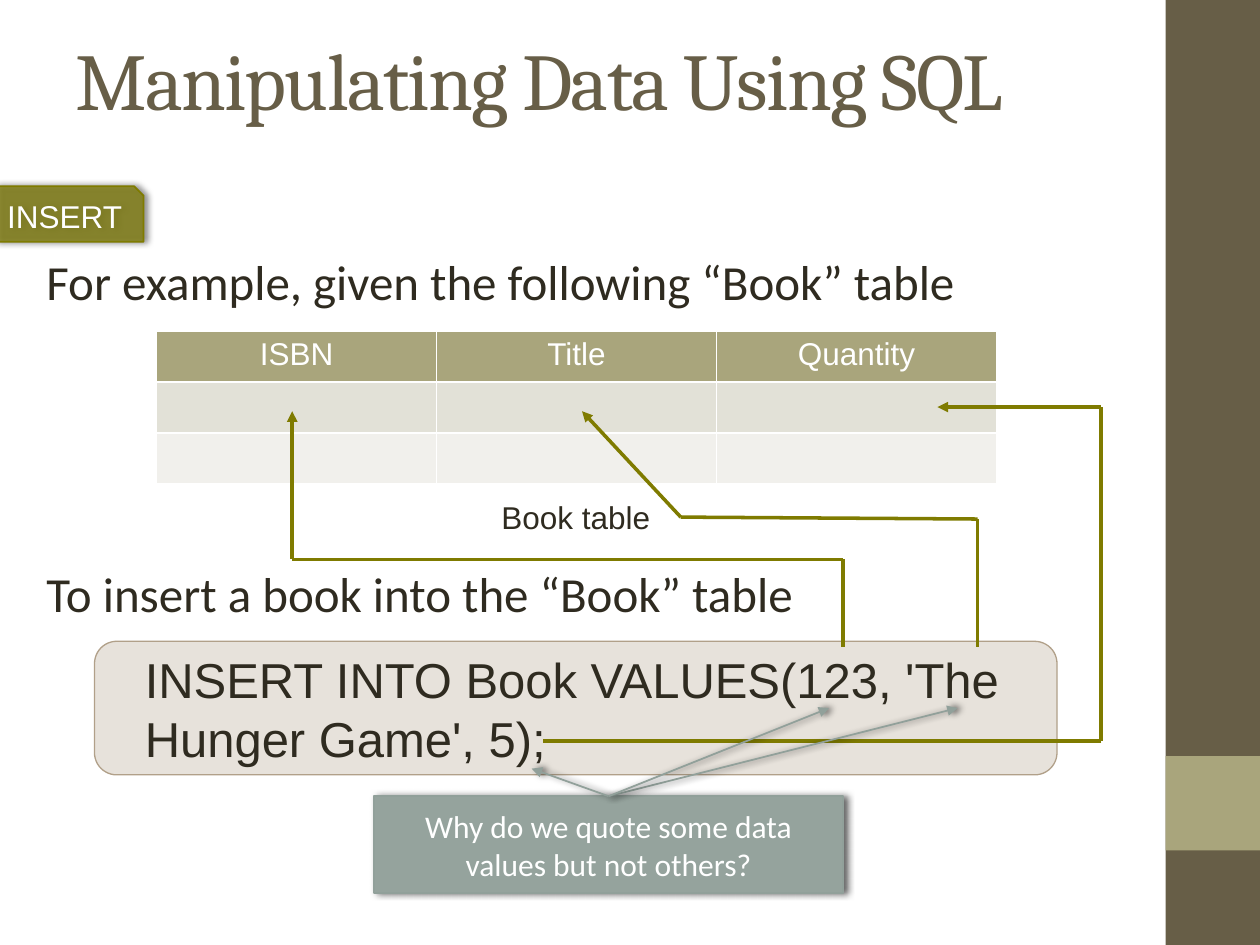
from itertools import pairwise

from pptx import Presentation
from pptx.dml.color import RGBColor
from pptx.enum.shapes import MSO_CONNECTOR, MSO_SHAPE as SHAPE
from pptx.enum.text import MSO_ANCHOR as ANCHOR, PP_ALIGN as ALIGN
from pptx.oxml.ns import qn
from pptx.util import Pt
from lxml.etree import SubElement

COLORS = {
    "brown": "675E47", "khaki": "A9A57C", "ink": "2F2B20", "white": "FFFFFF",
    "tan": "B1A089", "olive": "7F7B00", "sage": "95A39D", "sage_line": "91A09A",
    "band_dark": "E2E1D7", "band_light": "F1F0EC", "shadow": "000000",
}


def rgb(name):
    return RGBColor.from_string(COLORS[name])


def add_color(parent, name, opacity=100):
    clr = SubElement(parent, qn("a:srgbClr"), val=COLORS[name])
    SubElement(clr, qn("a:alpha"), val=str(opacity * 1000))


def add_shadow(effects):
    shadow = SubElement(effects, qn("a:outerShdw"), blurRad=str(Pt(4)),
                        dist=str(Pt(2)), dir="0", rotWithShape="0")
    add_color(shadow, "shadow", 60)


def write(tf, lines, font, size, color, align=ALIGN.LEFT, gap=0):
    for i, line in enumerate(lines):
        p = tf.add_paragraph() if i else tf.paragraphs[0]
        p.text = line
        p.alignment = align
        if i:
            p.space_before = Pt(gap)
        p.font.name, p.font.size = font, Pt(size)
        p.font.color.rgb = rgb(color)


def add_text(slide, box, lines, *style, anchor=ANCHOR.TOP, **options):
    tf = slide.shapes.add_textbox(*map(Pt, box)).text_frame
    tf.word_wrap = True
    tf.vertical_anchor = anchor
    write(tf, lines, *style, **options)
    return tf


def add_box(slide, kind, box, fill, line=None, width=1, opacity=100, shadow=False):
    sp = slide.shapes.add_shape(kind, *map(Pt, box))
    sp.shadow.inherit = False
    sp.fill.solid()
    sp.fill.fore_color.rgb = rgb(fill)
    if opacity < 100:
        clr = sp.fill._xPr.find(qn("a:solidFill"))[0]
        SubElement(clr, qn("a:alpha"), val=str(opacity * 1000))
    if line:
        sp.line.color.rgb = rgb(line)
        sp.line.width = Pt(width)
    else:
        sp.line.fill.background()
    if shadow:
        add_shadow(sp._element.spPr.find(qn("a:effectLst")))
    sp.text_frame.vertical_anchor = ANCHOR.MIDDLE
    return sp


def add_line(slide, start, end, color, width, arrow=None, shadow=False):
    line = slide.shapes.add_connector(MSO_CONNECTOR.STRAIGHT, *map(Pt, start + end))
    line.line.color.rgb = rgb(color)
    line.line.width = Pt(width)
    if arrow:
        SubElement(line.line._get_or_add_ln(), qn(f"a:{arrow}"), type="triangle")
    effects = SubElement(line._element.spPr, qn("a:effectLst"))
    if shadow:
        add_shadow(effects)
    return line


def add_route(slide, points):
    for i, (start, end) in enumerate(pairwise(points)):
        add_line(slide, start, end, "olive", 2, None if i else "headEnd")


def add_border(cell):
    tc_pr = cell._tc.get_or_add_tcPr()
    for i, side in enumerate(("lnL", "lnR", "lnT", "lnB")):
        ln = SubElement(tc_pr, qn(f"a:{side}"), w=str(Pt(1)))
        add_color(SubElement(ln, qn("a:solidFill")), "white")
        tc_pr.insert(i, ln)


def add_book_table(slide, box, headers, fills):
    table = slide.shapes.add_table(len(fills), len(headers), *map(Pt, box)).table
    for r, fill in enumerate(fills):
        for c, header in enumerate(headers):
            cell = table.cell(r, c)
            cell.fill.solid()
            cell.fill.fore_color.rgb = rgb(fill)
            add_border(cell)
            if r == 0:
                write(cell.text_frame, [header], "Arial", 18, "white", ALIGN.CENTER)
                cell.text_frame.paragraphs[0].font.bold = False


def add_callout(slide, box, text, targets):
    sp = add_box(slide, SHAPE.RECTANGLE, box, "sage", "sage_line", shadow=True)
    write(sp.text_frame, [text], "Calibri", 18, "white", ALIGN.CENTER)
    x, y, w, h = box
    for target in targets:
        line = add_line(slide, (x + w / 2, y), target, "sage_line", 1, "tailEnd", True)
        line.begin_connect(sp, 0)


def main():
    prs = Presentation()
    prs.slide_width, prs.slide_height = Pt(720), Pt(540)
    slide = prs.slides.add_slide(prs.slide_layouts[6])

    add_box(slide, SHAPE.RECTANGLE, (666, 0, 54, 540), "brown")
    add_box(slide, SHAPE.RECTANGLE, (666, 432, 54, 54), "khaki")
    title = add_text(slide, (36, 0, 600, 90), ["Manipulating Data Using SQL"],
                     "Cambria", 46, "brown", anchor=ANCHOR.MIDDLE)
    title.paragraphs[0].runs[0]._r.get_or_add_rPr().set("spc", "-100")

    add_text(slide, (19.5, 140, 640, 220),
             ["For example, given the following “Book” table",
              "To insert a book into the “Book” table"],
             "Calibri", 28, "ink", ALIGN.JUSTIFY, gap=145)

    sql = add_box(slide, SHAPE.ROUNDED_RECTANGLE, (54, 366.5, 550, 76.3),
                  "tan", "tan", 0.75, opacity=30)
    sql.text_frame.margin_left = Pt(25)
    write(sql.text_frame, ["INSERT INTO Book VALUES(123, 'The Hunger Game', 5);"],
          "Arial", 28, "ink")

    tag = add_box(slide, SHAPE.SNIP_1_RECTANGLE, (-3, 106.5, 85, 31.7),
                  "olive", "olive", opacity=70, shadow=True)
    write(tag.text_frame, ["INSERT"], "Arial", 18, "white")

    add_book_table(slide, (89.5, 189, 480, 87.6), ["ISBN", "Title", "Quantity"],
                   ["khaki", "band_dark", "band_light"])
    add_text(slide, (247, 281, 164, 29), ["Book table"],
             "Arial", 18, "ink", ALIGN.CENTER)

    add_route(slide, [(167, 235), (167, 319.7), (481.7, 319.7), (481.7, 370)])
    add_route(slide, [(332.6, 235), (389, 295.5), (558.7, 296.6), (558.7, 370)])
    add_route(slide, [(535.7, 232.6), (629.3, 232.6), (629.3, 423.4), (310.5, 423.4)])

    add_callout(slide, (213.8, 455, 268, 55.4),
                "Why do we quote some data values but not others?",
                [(547.2, 404.6), (303.8, 439.2), (473.8, 404.6)])
    prs.save("out.pptx")


if __name__ == "__main__":
    main()
